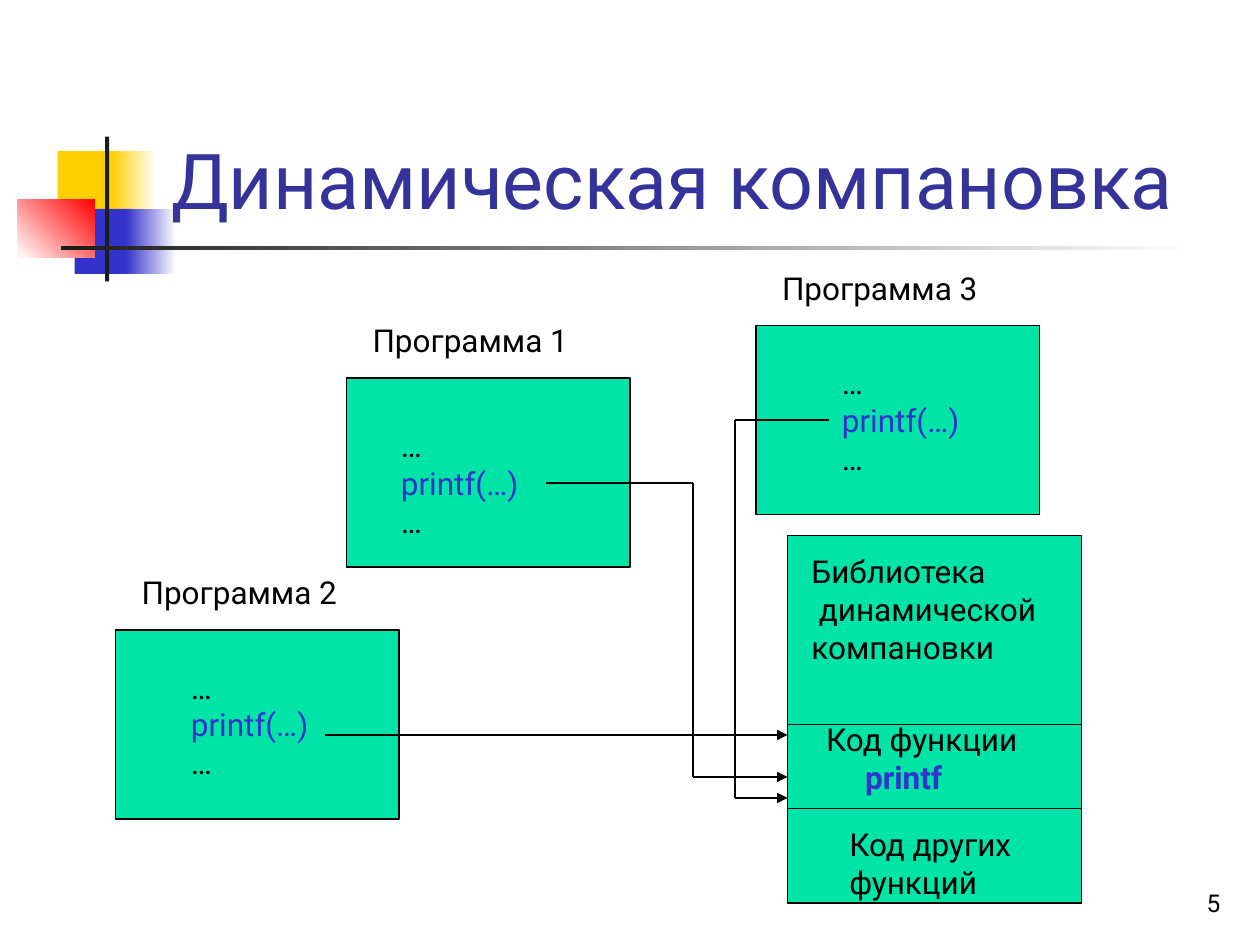
from dataclasses import dataclass
from itertools import pairwise

from lxml.etree import SubElement
from pptx import Presentation
from pptx.dml.color import RGBColor
from pptx.enum.shapes import MSO_CONNECTOR, MSO_SHAPE
from pptx.enum.text import MSO_ANCHOR, MSO_AUTO_SIZE, PP_ALIGN
from pptx.oxml.ns import qn
from pptx.util import Inches, Pt


@dataclass(frozen=True)
class Theme:
    font: str = "Roboto"
    head: int = 44
    body: int = 18
    small: int = 14
    rule: float = 0.75
    title: str = "333399"
    ink: str = "000000"
    code: str = "3333CC"
    box: str = "00E4A8"
    gold: str = "FFCF01"
    red: str = "FF0000"
    dark: str = "1C1C1C"
    white: str = "FFFFFF"


THEME = Theme()
WIDE, HIGH = Inches(10), Inches(7.5)
COLS, ROWS = 120, 90


def rgb(code):
    return RGBColor.from_string(code)


def grid(col, row):
    return round(WIDE * col / COLS), round(HIGH * row / ROWS)


def area(col, row, cols, rows):
    return *grid(col, row), *grid(cols, rows)


def add_rect(slide, place, fill, end=None, angle=0, line=None):
    """Rectangle with a plain fill, or a gradient when an end colour is given."""
    rect = slide.shapes.add_shape(MSO_SHAPE.RECTANGLE, *area(*place))
    rect.shadow.inherit = False
    if end:
        rect.fill.gradient()
        rect.fill.gradient_angle = angle
        for stop, color in zip(rect.fill.gradient_stops, (fill, end)):
            stop.color.rgb = rgb(color)
    else:
        rect.fill.solid()
        rect.fill.fore_color.rgb = rgb(fill)
    if line:
        rect.line.color.rgb = rgb(line)
        rect.line.width = Pt(THEME.rule)
    else:
        rect.line.fill.background()


def add_run(para, text, color=THEME.ink, size=THEME.body, bold=False):
    run = para.add_run()
    run.text = text
    run.font.name = THEME.font
    run.font.size = Pt(size)
    run.font.bold = bold
    run.font.color.rgb = rgb(color)


def add_text(slide, place, lines, wrap=False):
    """Text box; each line is (text, run options, left indent in inches)."""
    box = slide.shapes.add_textbox(*area(*place))
    frame = box.text_frame
    frame.word_wrap = wrap
    for i, (text, opts, indent) in enumerate(lines):
        para = frame.add_paragraph() if i else frame.paragraphs[0]
        if indent:
            para._p.get_or_add_pPr().set("marL", str(Inches(indent)))
        add_run(para, text, **opts)
    return frame


def add_path(slide, *points, arrow=True):
    """Straight segments through grid points, with a head on the last one."""
    for start, stop in pairwise(points):
        line = slide.shapes.add_connector(
            MSO_CONNECTOR.STRAIGHT, *grid(*start), *grid(*stop))
        line.line.color.rgb = rgb(THEME.ink)
        line.line.width = Pt(THEME.rule)
        props = line._element.spPr
        SubElement(props, qn("a:effectLst"))
        if arrow and stop == points[-1]:
            SubElement(props.find(qn("a:ln")), qn("a:tailEnd"), type="triangle")


def add_decor(slide):
    add_rect(slide, (5.5, 14.4, 5.8, 6.2), THEME.gold)
    add_rect(slide, (10.6, 14.4, 4.3, 6.2), THEME.gold, THEME.white)
    add_rect(slide, (7.1, 19.9, 5.5, 6.2), THEME.code)
    add_rect(slide, (12, 19.9, 4.8, 6.2), THEME.code, THEME.white)
    add_rect(slide, (1.7, 19, 7.3, 5.5), THEME.white, THEME.red, angle=45)
    add_rect(slide, (10, 13, 0.4, 13.8), THEME.dark)
    add_rect(slide, (5.8, 23.4, 108, 0.4), THEME.dark, THEME.white)


def set_title(slide, text):
    title = slide.shapes.title
    title.left, title.top, title.width, title.height = area(15.1, 2.8, 102.2, 19.2)
    frame = title.text_frame
    frame.auto_size = MSO_AUTO_SIZE.NONE
    frame.vertical_anchor = MSO_ANCHOR.BOTTOM
    para = frame.paragraphs[0]
    para.alignment = PP_ALIGN.LEFT
    add_run(para, text, THEME.title, THEME.head)
    # Keep the title in front of the decoration
    title.element.getparent().append(title.element)


def add_program(slide, name, col, row, shift, drop):
    """Named program box; shift and drop place its code inside."""
    add_rect(slide, (col, row, 27, 18), THEME.box, line=THEME.ink)
    add_text(slide, (col + 1.3, row - 6, 21.7, 4.8), [(name, {}, 0)])
    add_text(slide, (col + shift, row + drop, 14.3, 15.6),
             [("…", {}, 0), ("printf(…)", {"color": THEME.code}, 0), ("…", {}, 0)],
             wrap=True)


def add_library(slide, left, right):
    add_rect(slide, (left, 51, right - left, 35), THEME.box, line=THEME.ink)
    for row in (69, 77):
        add_path(slide, (left, row), (right, row), arrow=False)
    add_text(slide, (76.1, 52, 25.7, 12),
             [("Библиотека", {}, 0), ("динамической", {}, 0.06), ("компановки", {}, 0)])
    add_text(slide, (77.5, 68, 21.5, 8.4),
             [("Код функции", {}, 0),
              ("printf", {"color": THEME.code, "bold": True}, 0.31)])
    add_text(slide, (79.7, 78, 19.3, 8.4),
             [("Код других", {}, 0), ("функций", {}, 0)])


def main():
    deck = Presentation()
    deck.slide_width, deck.slide_height = WIDE, HIGH
    slide = deck.slides.add_slide(deck.slide_layouts[5])
    add_decor(slide)
    set_title(slide, "Динамическая компановка")

    # Programs and the shared library
    add_program(slide, "Программа 1", 33, 36, 4, 4)
    add_program(slide, "Программа 2", 11, 60, 6, 3)
    add_program(slide, "Программа 3", 72, 31, 7, 3)
    left = 75
    add_library(slide, left, 103)

    # Calls into the library
    add_path(slide, (52, 46), (66, 46), (66, 74), (left, 74))
    add_path(slide, (31, 70), (left, 70))
    add_path(slide, (79, 40), (70, 40), (70, 76), (left, 76))

    # Slide number
    frame = add_text(slide, (92.4, 82, 25, 6), [("5", {"size": THEME.small}, 0)], wrap=True)
    frame.vertical_anchor = MSO_ANCHOR.BOTTOM
    frame.paragraphs[0].alignment = PP_ALIGN.RIGHT
    deck.save("out.pptx")


if __name__ == "__main__":
    main()
